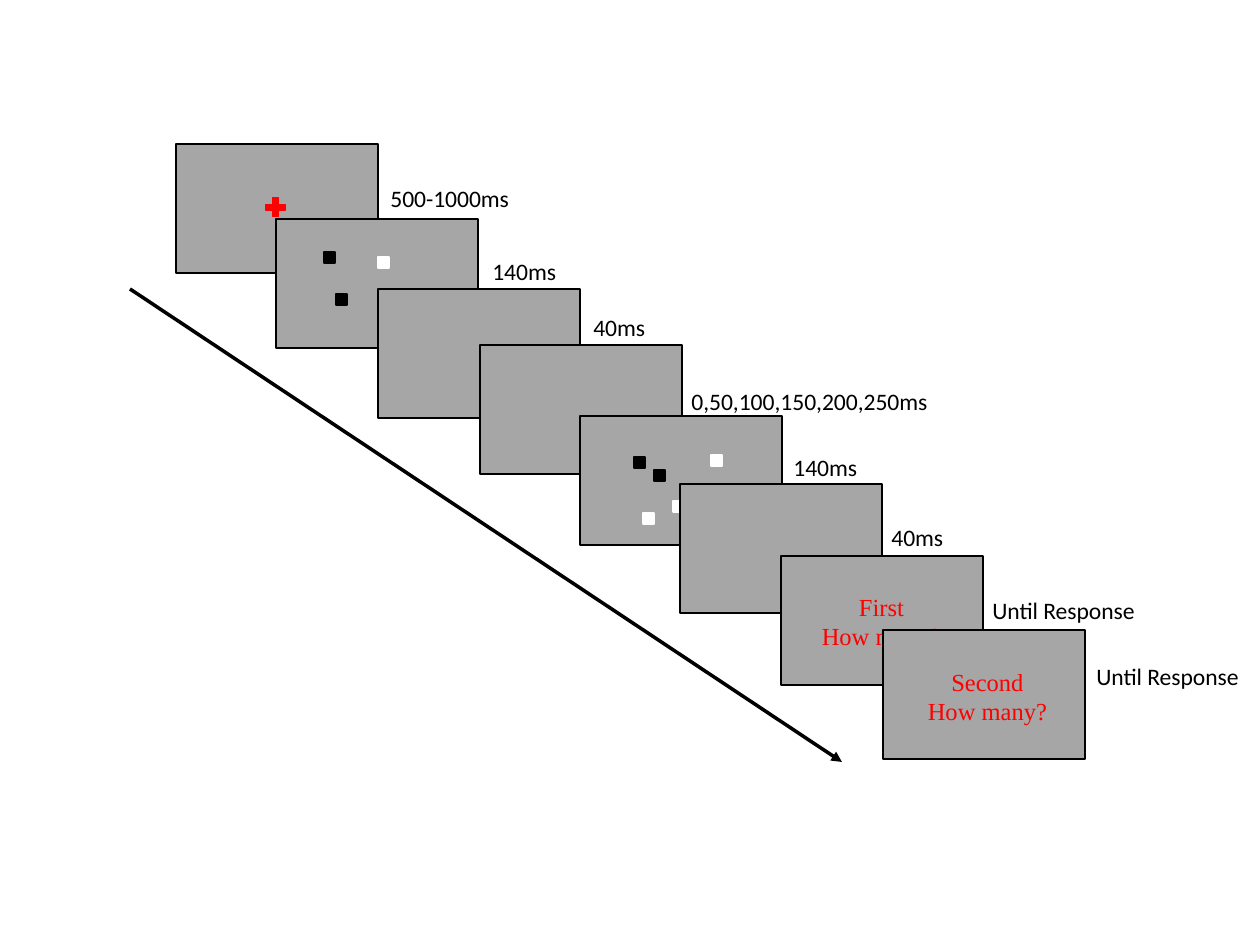
from lxml import etree
from pptx import Presentation
from pptx.dml.color import RGBColor
from pptx.enum.shapes import MSO_CONNECTOR as CONN, MSO_SHAPE as SHAPE
from pptx.enum.text import PP_ALIGN as ALIGN
from pptx.oxml.ns import qn
from pptx.util import Pt

PX = 914400 / 126
COLORS = {"screen": "A6A6A6", "black": "000000", "white": "FFFFFF", "red": "FF0000"}
SCREEN_W, SCREEN_H = 202, 129
DOT = 11
LABEL_H = 42
PROMPT_W, PROMPT_H = 165, 72

# Each trial step: screen left, top; label left, top, width; duration
STEPS = [
    (176, 144, 378, 178, 151, "500-1000ms"),
    (276, 219, 480, 251, 151, "140ms"),
    (378, 289, 581, 307, 151, "40ms"),
    (480, 345, 679, 381, 375, "0,50,100,150,200,250ms"),
    (580, 416, 781, 447, 151, "140ms"),
    (680, 484, 879, 517, 151, "40ms"),
    (781, 556, 980, 590, 239, "Until Response"),
    (883, 630, 1084, 656, 176, "Until Response"),
]
# Dots by step index: left, top, colour
DOTS = {
    1: [(324, 252, "black"), (378, 257, "white"), (336, 294, "black")],
    4: [(634, 457, "black"), (643, 513, "white"), (654, 470, "black"),
        (711, 455, "white"), (673, 501, "white")],
}
# Questions by step index: left, top, first line
PROMPTS = {6: (799, 585, "First"), 7: (905, 660, "Second")}


def px(*values):
    return [round(v * PX) for v in values]


def rgb(name):
    return RGBColor.from_string(COLORS[name])


def add_block(slide, kind, box, fill, line):
    s = slide.shapes.add_shape(kind, *px(*box))
    s.shadow.inherit = False
    s.fill.solid()
    s.fill.fore_color.rgb = rgb(fill)
    s.line.color.rgb = rgb(line)
    s.line.width = Pt(1)


def add_text(slide, box, lines, font, size, color, align=ALIGN.LEFT, spacing=None):
    tf = slide.shapes.add_textbox(*px(*box)).text_frame
    tf.word_wrap = True
    for i, line in enumerate(lines):
        p = tf.add_paragraph() if i else tf.paragraphs[0]
        p.alignment = align
        p.line_spacing = spacing
        r = p.add_run()
        r.text = line
        r.font.name = font
        r.font.size = Pt(size)
        r.font.color.rgb = rgb(color)


def add_time_arrow(slide, x1, y1, x2, y2):
    c = slide.shapes.add_connector(CONN.STRAIGHT, *px(x1, y1, x2, y2))
    c.line.color.rgb = rgb("black")
    c.line.width = Pt(2)
    sp_pr = c._element.spPr
    etree.SubElement(sp_pr.find(qn("a:ln")), qn("a:tailEnd"), type="triangle")
    etree.SubElement(sp_pr, qn("a:effectLst"))


def add_step(slide, index):
    x, y, label_x, label_y, label_w, duration = STEPS[index]
    add_block(slide, SHAPE.RECTANGLE, (x, y, SCREEN_W, SCREEN_H), "screen", "black")
    add_text(slide, (label_x, label_y, label_w, LABEL_H), [duration],
             "Calibri", 13.5, "black")
    # Fixation cross
    if index == 0:
        add_block(slide, SHAPE.MATH_PLUS, (263, 195, 25, 25), "red", "red")
    # Dot array
    for dot_x, dot_y, color in DOTS.get(index, []):
        add_block(slide, SHAPE.RECTANGLE, (dot_x, dot_y, DOT, DOT), color, color)
    # Response question
    if index in PROMPTS:
        prompt_x, prompt_y, which = PROMPTS[index]
        add_text(slide, (prompt_x, prompt_y, PROMPT_W, PROMPT_H), [which, "How many?"],
                 "Times New Roman", 14, "red", ALIGN.CENTER, Pt(17))


def main():
    prs = Presentation()
    prs.slide_width, prs.slide_height = px(1260, 945)
    slide = prs.slides.add_slide(prs.slide_layouts[6])
    add_time_arrow(slide, 130, 289, 842, 762)
    # Later screens overlap earlier ones
    for index in range(len(STEPS)):
        add_step(slide, index)
    prs.save("out.pptx")


if __name__ == "__main__":
    main()
